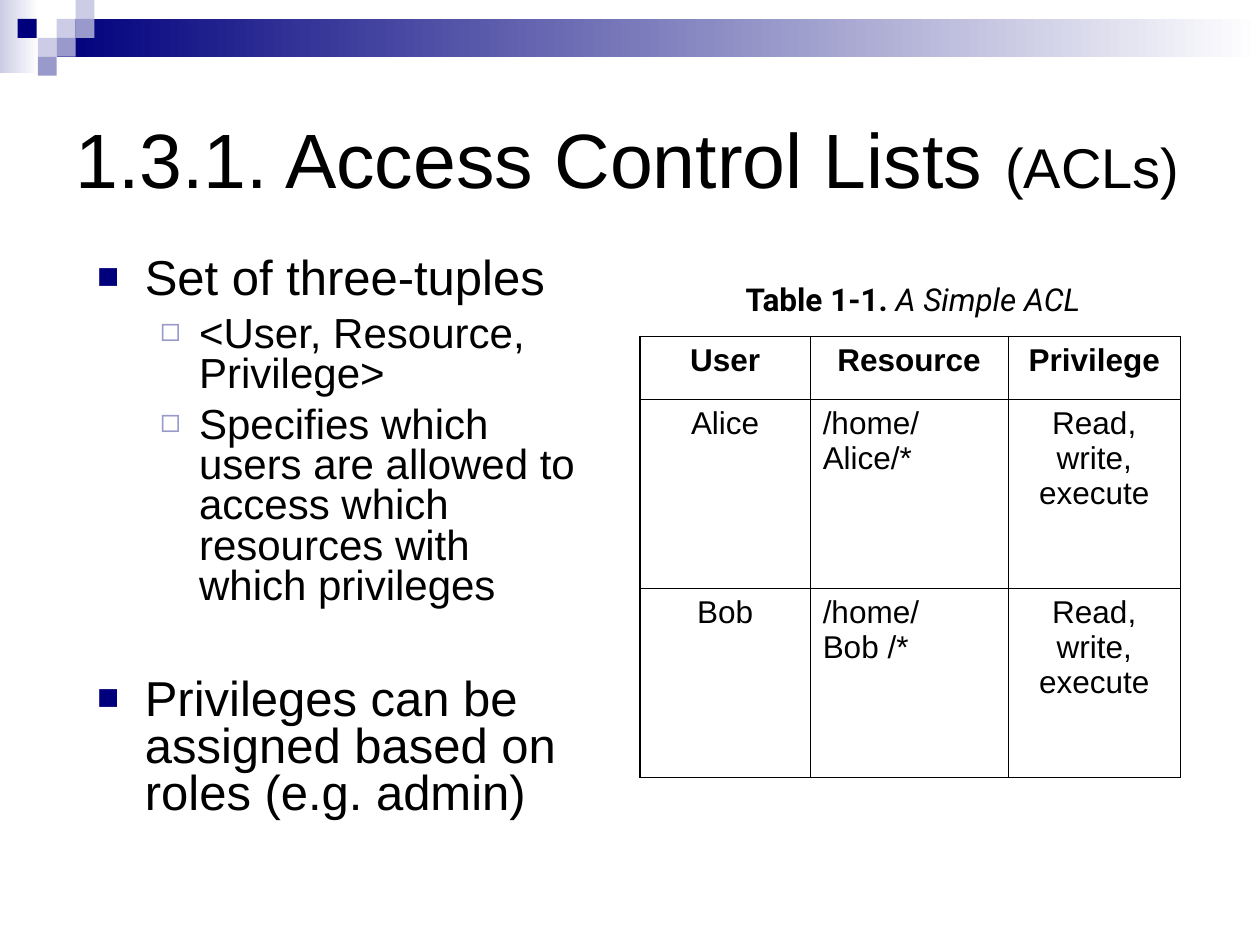
from dataclasses import dataclass

from lxml import etree
from pptx import Presentation
from pptx import util as u
from pptx.dml.color import RGBColor
from pptx.enum import shapes, text
from pptx.oxml import ns


@dataclass(frozen=True)
class Theme:
    font: str = "Arial"
    caption_font: str = "Roboto"
    black: str = "000000"
    white: str = "FFFFFF"
    navy: str = "00007D"
    violet: str = "9999CC"
    lavender: str = "CCCCE6"
    title_size: float = 44
    suffix_size: float = 32
    table_size: float = 18
    outer_line: float = 1.08
    inner_line: float = 0.45


@dataclass(frozen=True)
class Block:
    left: float
    top: float
    width: float
    height: float
    colors: tuple  # one colour is solid, two run from left to right


@dataclass(frozen=True)
class BulletStyle:
    level: int
    size: float
    left: float
    hanging: float
    character: str
    color: str
    percent: int


@dataclass(frozen=True)
class Item:
    words: str
    style: BulletStyle
    space_before: float


THEME = Theme()
SQUARE = 0.15
MAIN = BulletStyle(0, 28, 0.38, 0.38, "■", THEME.navy, 75)
SUB = BulletStyle(1, 24, 0.81, 0.31, "◻", THEME.violet, 80)

BANDS = [
    Block(0, 0, 0.31, 0.58, (THEME.lavender, THEME.white)),
    Block(0.45, 0.15, 9.55, 0.3, (THEME.navy, THEME.white)),
]
SQUARES = [
    Block(left, top, SQUARE, SQUARE, (color,))
    for left, top, color in [
        (0.45, 0.15, THEME.lavender),
        (0.6, 0, THEME.lavender),
        (0.6, 0.15, THEME.violet),
        (0.3, 0.3, THEME.lavender),
        (0.14, 0.15, THEME.navy),
        (0.45, 0.3, THEME.violet),
        (0.3, 0.45, THEME.violet),
    ]
]
ITEMS = [
    Item("Set of three-tuples", MAIN, 7),
    Item("<User, Resource, Privilege>", SUB, 6),
    Item("Specifies which users are allowed to access which resources "
         "with which privileges", SUB, 6),
    Item("Privileges can be assigned based on roles (e.g. admin)", MAIN, 40),
]
ACL_ROWS = [
    ("User", "Resource", "Privilege"),
    ("Alice", "/home/Alice/*", "Read, write, execute"),
    ("Bob", "/home/Bob /*", "Read, write, execute"),
]
COLUMN_WIDTHS = (1.35, 1.57, 1.37)
ROW_HEIGHTS = (0.5, 1.5, 1.5)


def style_font(font, size: float, name: str = THEME.font,
               bold: bool = False, italic: bool = False) -> None:
    font.name, font.size = name, u.Pt(size)
    font.bold, font.italic = bold, italic
    font.color.rgb = RGBColor.from_string(THEME.black)


def place(shape, left: float, top: float, width: float, height: float) -> None:
    shape.left, shape.top = u.Inches(left), u.Inches(top)
    shape.width, shape.height = u.Inches(width), u.Inches(height)


def add_element(parent, tag: str, **attributes: str):
    return etree.SubElement(parent, ns.qn(tag), attributes)


def add_block(slide, block: Block) -> None:
    shape = slide.shapes.add_shape(
        shapes.MSO_SHAPE.RECTANGLE, u.Inches(block.left), u.Inches(block.top),
        u.Inches(block.width), u.Inches(block.height))
    shape.shadow.inherit = False
    shape.line.fill.background()
    if len(block.colors) == 1:
        shape.fill.solid()
        shape.fill.fore_color.rgb = RGBColor.from_string(block.colors[0])
        return
    shape.fill.gradient()
    shape.fill.gradient_angle = 0
    for stop, color in zip(shape.fill.gradient_stops, block.colors):
        stop.color.rgb = RGBColor.from_string(color)


def fill_title(title) -> None:
    place(title, 0.5, 0.5, 9, 1.5)
    frame = title.text_frame
    frame.auto_size = text.MSO_AUTO_SIZE.NONE
    frame.vertical_anchor = text.MSO_ANCHOR.MIDDLE
    paragraph = frame.paragraphs[0]
    paragraph.alignment = text.PP_ALIGN.LEFT
    for words, size in [("1.3.1. Access Control Lists ", THEME.title_size),
                        ("(ACLs)", THEME.suffix_size)]:
        run = paragraph.add_run()
        run.text = words
        style_font(run.font, size)


def format_item(paragraph, item: Item) -> None:
    style = item.style
    paragraph.level = style.level
    paragraph.line_spacing = 0.8
    paragraph.space_before = u.Pt(item.space_before)
    style_font(paragraph.runs[0].font, style.size)
    properties = paragraph._p.get_or_add_pPr()
    properties.set("marL", str(u.Inches(style.left)))
    properties.set("indent", str(-u.Inches(style.hanging)))
    color = add_element(properties, "a:buClr")
    add_element(color, "a:srgbClr", val=style.color)
    add_element(properties, "a:buSzPct", val=str(style.percent * 1000))
    add_element(properties, "a:buFont", typeface=THEME.font)
    add_element(properties, "a:buChar", char=style.character)


def fill_body(body) -> None:
    place(body, 0.67, 2, 4.08, 4.83)
    frame = body.text_frame
    frame.auto_size = text.MSO_AUTO_SIZE.NONE
    frame.text = "\n".join(item.words for item in ITEMS)
    for paragraph, item in zip(frame.paragraphs, ITEMS):
        format_item(paragraph, item)


def draw_borders(cell, outer_sides: dict[str, bool]) -> None:
    properties = cell._tc.get_or_add_tcPr()
    for index, (side, is_outer) in enumerate(outer_sides.items()):
        width = THEME.outer_line if is_outer else THEME.inner_line
        line = etree.Element(ns.qn(f"a:ln{side}"), w=str(u.Pt(width)))
        fill = add_element(line, "a:solidFill")
        add_element(fill, "a:srgbClr", val=THEME.black)
        properties.insert(index, line)


def add_acl_table(slide) -> None:
    rows, columns = len(ROW_HEIGHTS), len(COLUMN_WIDTHS)
    table = slide.shapes.add_table(
        rows, columns, u.Inches(5.08), u.Inches(2.67),
        u.Inches(sum(COLUMN_WIDTHS)), u.Inches(sum(ROW_HEIGHTS))).table
    table.first_row = table.horz_banding = False
    for column, width in zip(table.columns, COLUMN_WIDTHS):
        column.width = u.Inches(width)
    for r, (row, height) in enumerate(zip(table.rows, ROW_HEIGHTS)):
        row.height = u.Inches(height)
        for c, cell in enumerate(row.cells):
            cell.text = ACL_ROWS[r][c]
            cell.fill.background()
            paragraph = cell.text_frame.paragraphs[0]
            is_path_cell = r > 0 and c == 1
            paragraph.alignment = (text.PP_ALIGN.LEFT if is_path_cell
                                   else text.PP_ALIGN.CENTER)
            paragraph.space_before = u.Pt(4.5)
            style_font(paragraph.runs[0].font, THEME.table_size, bold=r == 0)
            draw_borders(cell, {"L": c == 0, "R": c == columns - 1,
                                "T": r == 0, "B": r == rows - 1})


def add_caption(slide) -> None:
    box = slide.shapes.add_textbox(
        u.Inches(5.82), u.Inches(2.17), u.Inches(2.86), u.Inches(0.4))
    frame = box.text_frame
    frame.word_wrap = False
    frame.vertical_anchor = text.MSO_ANCHOR.MIDDLE
    for words, is_label in [("Table 1-1.", True), (" A Simple ACL", False)]:
        run = frame.paragraphs[0].add_run()
        run.text = words
        style_font(run.font, THEME.table_size, THEME.caption_font,
                   bold=is_label, italic=not is_label)


def main() -> None:
    presentation = Presentation()
    presentation.slide_width = u.Inches(10)
    presentation.slide_height = u.Inches(7.5)
    slide = presentation.slides.add_slide(presentation.slide_layouts[1])

    # Header decoration
    for block in BANDS + SQUARES:
        add_block(slide, block)

    # Title and bullet list
    fill_title(slide.shapes.title)
    fill_body(slide.placeholders[1])

    # Access control table with its caption
    add_acl_table(slide)
    add_caption(slide)

    presentation.save("out.pptx")


if __name__ == "__main__":
    main()
